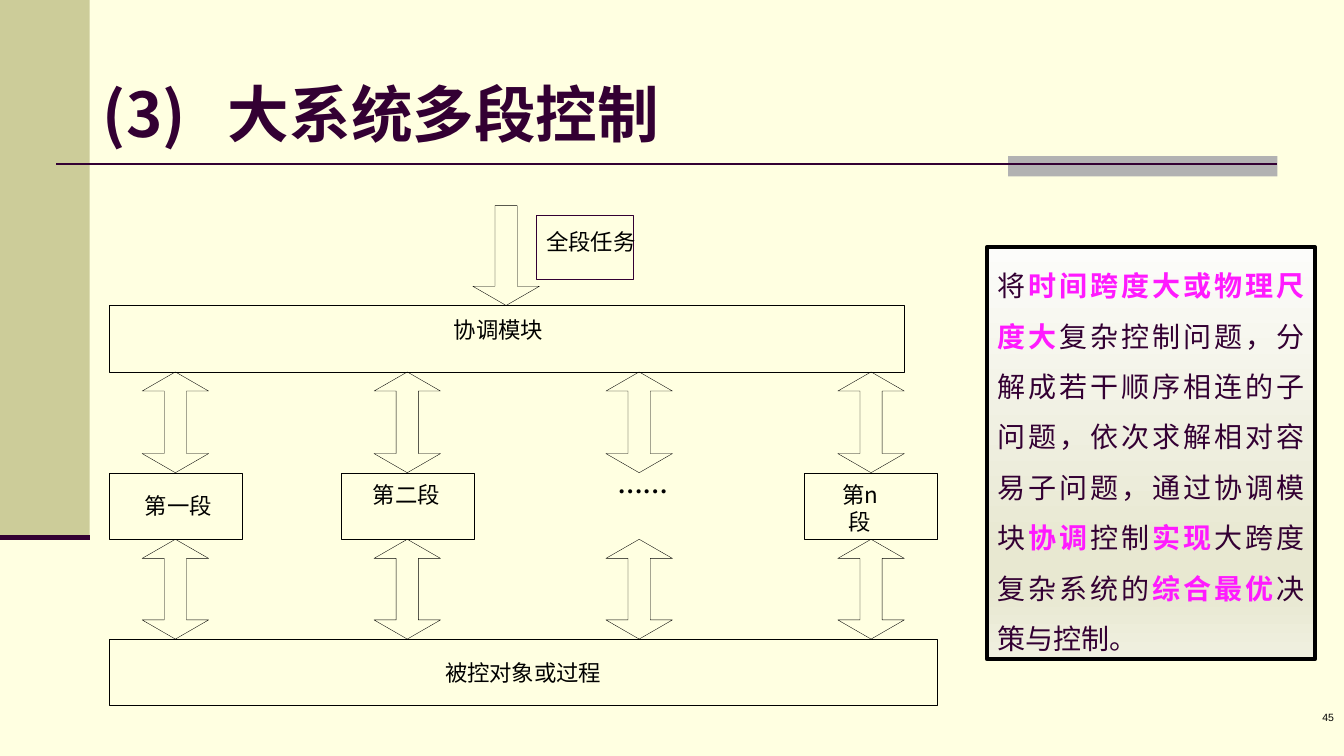
from lxml.etree import SubElement
from pptx import Presentation
from pptx.dml.color import RGBColor
from pptx.enum.shapes import MSO_CONNECTOR, MSO_SHAPE
from pptx.enum.text import MSO_ANCHOR, MSO_AUTO_SIZE, PP_ALIGN
from pptx.oxml.ns import qn
from pptx.util import Inches, Pt

COLORS = {"bg": "FFFFE1", "band": "CCCC99", "gray": "B2B2B2", "plum": "330033",
          "black": "000000", "pink": "FF1AFF"}
CJK = "Noto Sans CJK SC"
FORMATS = {
    "title": {"size": Pt(44), "name": CJK, "bold": True},
    "label": {"size": Pt(16), "name": CJK, "bold": False},
    "dots": {"size": Pt(18), "name": "Times New Roman", "bold": True},
    "body": {"size": Pt(20), "name": CJK, "bold": False},
    "key": {"size": Pt(20), "name": CJK, "bold": True},
    "number": {"size": Pt(7.5), "name": "Arial", "bold": False},
}
FIRST_X, STEP_X = 1.74, 2.3
ROWS, ROW_H, BOX_W = (3.03, 4.69, 6.34), 0.66, 1.32
HALF_HEAD, HALF_SHAFT, HEAD_H = 0.33, 0.11, 0.19
LEFT = 1.08
SUMMARY = [("将", "body"), ("时间跨度大或物理尺度大", "key"),
           ("复杂控制问题，分解成若干顺序相连的子问题，依次求解相对容易子问题，通过协调模块", "body"),
           ("协调", "key"), ("控制", "body"), ("实现", "key"), ("大跨度复杂系统的", "body"),
           ("综合最优", "key"), ("决策与控制。", "body")]


class SlideBuilder:
    """Holds the style and the current slide, and draws each kind of element."""

    def __init__(self, prs):
        self.s = prs.slides.add_slide(prs.slide_layouts[5])
        self.s.background.fill.solid()
        self.s.background.fill.fore_color.rgb = self.rgb("bg")

    def rgb(self, color):
        return RGBColor.from_string(COLORS[color])

    def run(self, p, text, fmt, color):
        r = p.add_run()
        r.text = text
        r.font.color.rgb = self.rgb(color)
        for key, value in FORMATS[fmt].items():
            setattr(r.font, key, value)
        SubElement(r.font._element, qn("a:ea"), typeface=FORMATS[fmt]["name"])

    def frame(self, tf, margins=(0.1, 0.05), wrap=True, anchor=MSO_ANCHOR.TOP):
        side, top = (Inches(m) for m in margins)
        values = {"margin_left": side, "margin_right": side, "margin_top": top, "margin_bottom": top,
                  "word_wrap": wrap, "vertical_anchor": anchor, "auto_size": MSO_AUTO_SIZE.NONE}
        for key, value in values.items():
            setattr(tf, key, value)
        return tf.paragraphs[0]

    def outline(self, sp, color, width):
        sp.shadow.inherit = False
        sp.fill.background()
        if color:
            sp.line.color.rgb = self.rgb(color)
            sp.line.width = Pt(width)
        else:
            sp.line.fill.background()

    def title(self, number, text, x, y, w, h):
        sp = self.s.shapes.title
        sp.left, sp.top, sp.width, sp.height = map(Inches, (x, y, w, h))
        p = self.frame(sp.text_frame, anchor=MSO_ANCHOR.MIDDLE)
        p.alignment = PP_ALIGN.LEFT
        tabs = SubElement(p._p.get_or_add_pPr(), qn("a:tabLst"))
        SubElement(tabs, qn("a:tab"), pos=str(Inches(1.24)), algn="l")
        self.run(p, f"{number}\t{text}", "title", "plum")

    def rect(self, x, y, w, h, fill=None, line=None, width=0.25):
        sp = self.s.shapes.add_shape(MSO_SHAPE.RECTANGLE, *map(Inches, (x, y, w, h)))
        self.outline(sp, line, width)
        if fill:
            sp.fill.solid()
            sp.fill.fore_color.rgb = self.rgb(fill)
        return sp

    def line(self, x1, y1, x2, y2, width):
        c = self.s.shapes.add_connector(MSO_CONNECTOR.STRAIGHT, *map(Inches, (x1, y1, x2, y2)))
        c.line.color.rgb = self.rgb("plum")
        c.line.width = Pt(width)
        SubElement(c._element.spPr, qn("a:effectLst"))

    def text(self, text, x, y, w, h, fmt="label", wrap=False):
        sp = self.s.shapes.add_textbox(*map(Inches, (x, y, w, h)))
        p = self.frame(sp.text_frame, (0, 0), wrap)
        p.alignment = PP_ALIGN.CENTER
        p.line_spacing = Pt(FORMATS[fmt]["size"].pt * 1.2)
        self.run(p, text, fmt, "black")

    def page_number(self, text, x, y, w, h):
        sp = self.s.shapes.add_textbox(*map(Inches, (x, y, w, h)))
        p = self.frame(sp.text_frame)
        p.alignment = PP_ALIGN.RIGHT
        self.run(p, text, "number", "black")

    def arrow(self, cx, top, bottom, double=True):
        neck, low = top + HEAD_H, bottom - HEAD_H
        right = [(HALF_HEAD, low), (HALF_SHAFT, low)]
        right += [(HALF_SHAFT, neck), (HALF_HEAD, neck), (0, top)] if double else [(HALF_SHAFT, top)]
        left = [(-dx, y) for dx, y in reversed(right) if dx]
        points = [(Inches(cx + dx), Inches(y)) for dx, y in [(0, bottom)] + right + left]
        builder = self.s.shapes.build_freeform(*points[0], scale=1.0)
        builder.add_line_segments(points[1:], close=True)
        self.outline(builder.convert_to_shape(), "black", 0.25)

    def summary(self, runs, x, y, w, h):
        sp = self.rect(x, y, w, h, line="black", width=3)
        sp.fill.gradient()
        sp.fill.gradient_angle = 270
        stops = sp._element.spPr.find(".//" + qn("a:gsLst"))
        stops.clear()
        for pos, color in ((0, "FCFCFA"), (74, "E8E8D1"), (83, "E8E8D1"), (100, "F0F0E0")):
            gs = SubElement(stops, qn("a:gs"), pos=str(pos * 1000))
            SubElement(gs, qn("a:srgbClr"), val=color)
        p = self.frame(sp.text_frame)
        p.alignment = PP_ALIGN.JUSTIFY
        p.line_spacing = Pt(36)
        for text, fmt in runs:
            self.run(p, text, fmt, "pink" if fmt == "key" else "plum")


def main():
    prs = Presentation()
    prs.slide_width, prs.slide_height = Inches(13.33), Inches(7.5)
    b = SlideBuilder(prs)
    b.rect(0, 0, 0.89, 5.33, fill="band")
    b.rect(10, 1.55, 2.67, 0.2, fill="gray")
    b.line(0.56, 1.63, 12.67, 1.63, 1.5)
    b.line(0, 5.33, 0.89, 5.33, 3.5)
    b.title("(3)", "大系统多段控制", 0.92, 0.84, 8.22, 0.56)
    b.page_number("45", 12.02, 7, 1.31, 0.5)

    coordinator, stage, plant = ROWS
    b.rect(LEFT, coordinator, 7.89, ROW_H, line="black")
    b.text("协调模块", 4.44, 3.14, 1.01, 0.33)
    b.rect(LEFT, plant, 8.22, ROW_H, line="black")
    b.text("被控对象或过程", 4.31, 6.54, 1.76, 0.33)
    for i in range(4):
        cx = FIRST_X + i * STEP_X
        if i != 2:
            b.rect(cx - BOX_W / 2, stage, BOX_W, ROW_H, line="black")
        for above, below in zip(ROWS, ROWS[1:]):
            b.arrow(cx, above + ROW_H, below)
    b.text("第一段", 1.39, 4.88, 0.76, 0.33)
    b.text("第二段", 3.65, 4.77, 0.76, 0.33)
    b.text("……", 6.09, 4.65, 0.57, 0.37, "dots")
    b.text("第n段", 8.29, 4.77, 0.48, 0.6, wrap=True)
    b.arrow(5.02, 2.04, coordinator, double=False)
    b.rect(5.32, 2.14, 0.96, 0.63, line="plum", width=0.75)
    b.text("全段任务", 5.19, 2.26, 1.34, 0.33, wrap=True)
    b.summary(SUMMARY, 9.79, 2.45, 3.25, 4.09)
    prs.save("out.pptx")


if __name__ == "__main__":
    main()
